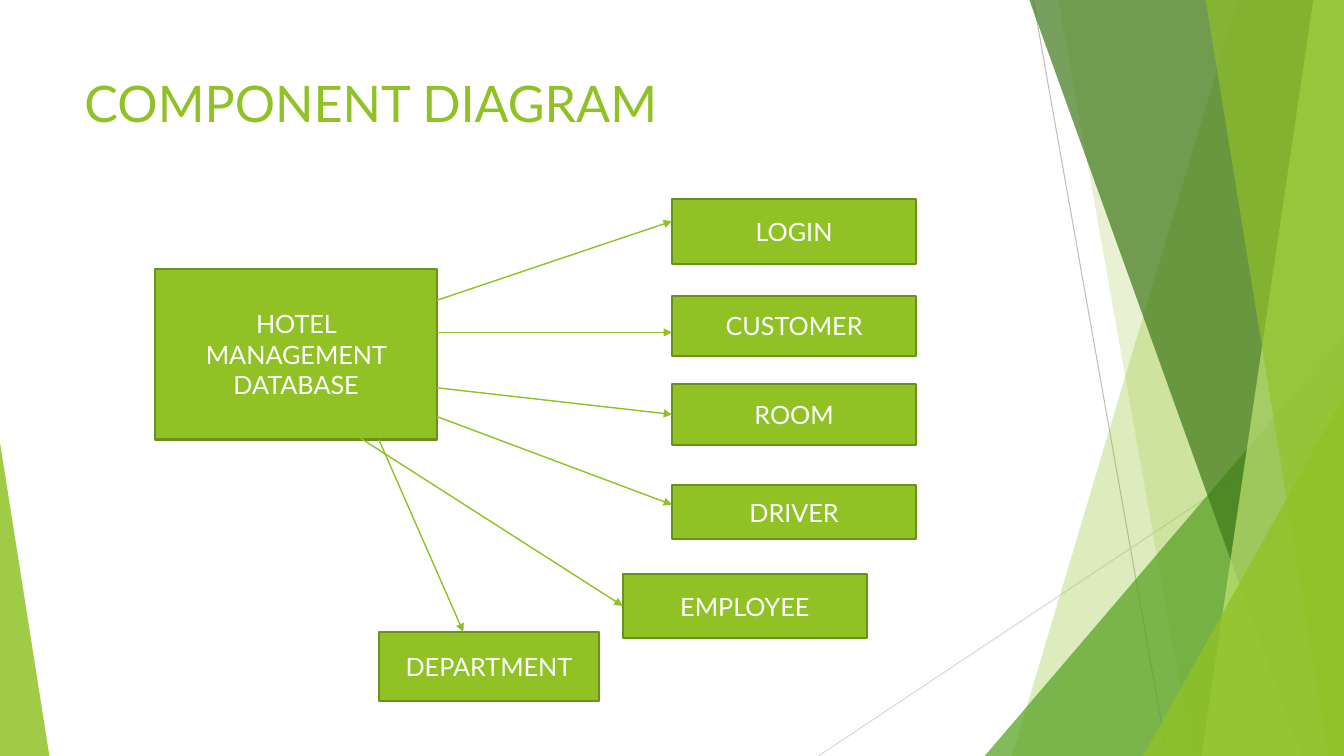
from lxml.etree import SubElement
from pptx import Presentation
from pptx.dml.color import RGBColor
from pptx.enum.shapes import MSO_CONNECTOR, MSO_SHAPE
from pptx.enum.text import MSO_ANCHOR, PP_ALIGN
from pptx.oxml.ns import qn
from pptx.util import Pt

STRAIGHT = MSO_CONNECTOR.STRAIGHT
RECT, TRIANGLE = MSO_SHAPE.RECTANGLE, MSO_SHAPE.ISOSCELES_TRIANGLE
MIDDLE, TOP = MSO_ANCHOR.MIDDLE, MSO_ANCHOR.TOP
CENTER, LEFT = PP_ALIGN.CENTER, PP_ALIGN.LEFT

LIME = RGBColor(0x90, 0xC2, 0x26)
PALE_LIME = RGBColor(0xC0, 0xE4, 0x74)
GREEN = RGBColor(0x54, 0xA0, 0x21)
DARK_GREEN = RGBColor(0x3F, 0x78, 0x19)
OLIVE = RGBColor(0x6B, 0x90, 0x1C)
GREY = RGBColor(0xBF, 0xBF, 0xBF)
LIGHT_GREY = RGBColor(0xD9, 0xD9, 0xD9)
WHITE = RGBColor(0xFF, 0xFF, 0xFF)

W, H = 960, 540
LEFT_SIDE = 1


class Deck:
    font = "Lato"

    def __init__(self, prs):
        self.s = prs.slides.add_slide(prs.slide_layouts[6])

    def tint(self, sp, color, alpha):
        """Fill a borderless shape; alpha is the opacity in percent."""
        sp.shadow.inherit = False
        sp.line.fill.background()
        sp.fill.solid()
        sp.fill.fore_color.rgb = color
        clr = sp._element.spPr.find(qn("a:solidFill"))[0]
        SubElement(clr, qn("a:alpha"), val=str(alpha * 1000))

    def facet(self, top_x, bottom_x, color, alpha):
        """Band from a slanted left edge to the right edge of the slide."""
        fb = self.s.shapes.build_freeform(Pt(top_x), Pt(-0.6))
        fb.add_line_segments([(Pt(W), Pt(-0.6)), (Pt(W), Pt(H)), (Pt(bottom_x), Pt(H))])
        self.tint(fb.convert_to_shape(), color, alpha)

    def triangle(self, x, y, w, apex, color, alpha):
        """Triangle standing on the bottom edge of the slide."""
        sp = self.s.shapes.add_shape(TRIANGLE, Pt(x), Pt(y), Pt(w), Pt(H - y))
        sp.adjustments[0] = apex
        self.tint(sp, color, alpha)

    def text(self, sp, text, size, color, align, anchor):
        tf = sp.text_frame
        tf.word_wrap = True
        tf.vertical_anchor = anchor
        p = tf.paragraphs[0]
        p.text = text
        p.alignment = align
        p.font.name = self.font
        p.font.size = Pt(size)
        p.font.color.rgb = color

    def title(self, x, y, w, h, text):
        sp = self.s.shapes.add_textbox(Pt(x), Pt(y), Pt(w), Pt(h))
        self.text(sp, text, 36, LIME, LEFT, TOP)

    def box(self, x, y, w, h, text):
        sp = self.s.shapes.add_shape(RECT, Pt(x), Pt(y), Pt(w), Pt(h))
        sp.shadow.inherit = False
        sp.fill.solid()
        sp.fill.fore_color.rgb = LIME
        sp.line.color.rgb = OLIVE
        sp.line.width = Pt(1.5)
        self.text(sp, text, 18, WHITE, CENTER, MIDDLE)
        return sp

    def line(self, x1, y1, x2, y2, color, width):
        c = self.s.shapes.add_connector(STRAIGHT, Pt(x1), Pt(y1), Pt(x2), Pt(y2))
        c.line.color.rgb = color
        c.line.width = Pt(width)
        SubElement(c._element.spPr, qn("a:effectLst"))
        return c

    def arrow(self, x1, y1, x2, y2, target=None):
        c = self.line(x1, y1, x2, y2, LIME, 1)
        SubElement(c._element.spPr.find(qn("a:ln")), qn("a:tailEnd"), type="triangle")
        if target is not None:
            c.end_connect(target, LEFT_SIDE)


def main():
    prs = Presentation()
    prs.slide_width, prs.slide_height = Pt(W), Pt(H)
    d = Deck(prs)

    # Background decoration
    d.line(738, 0, 833.8, H, GREY, 0.75)
    d.line(W, 290.2, 584.6, H, LIGHT_GREY, 0.75)
    d.facet(884.2, 722.9, LIME, 30)
    d.facet(756, 851.8, LIME, 20)
    d.triangle(703.4, 239.8, 256.6, 1, GREEN, 72)
    d.facet(735.1, 929.5, DARK_GREEN, 70)
    d.facet(938.2, 858.2, PALE_LIME, 70)
    d.facet(861.1, 949, LIME, 65)
    d.triangle(816.5, 283, 143.5, 1, LIME, 80)
    d.triangle(0, 316.1, 35.3, 0, LIME, 85)

    # Title
    d.title(53.3, 48.2, 676.8, 103.7, "COMPONENT DIAGRAM")

    # Components
    d.box(111, 192, 201, 122, "HOTEL MANAGEMENT DATABASE")
    col_x, col_w = 480, 174.5
    d.box(col_x, 142, col_w, 46.5, "LOGIN")
    d.box(col_x, 211.2, col_w, 43.2, "CUSTOMER")
    room = d.box(col_x, 274.4, col_w, 43.2, "ROOM")
    d.box(col_x, 346.4, col_w, 38.7, "DRIVER")
    employee = d.box(444.8, 410, col_w, 45.6, "EMPLOYEE")
    d.box(270.6, 451.4, 157.4, 49.2, "DEPARTMENT")

    # Arrows from the database to each component
    hub_right = 312
    d.arrow(hub_right, 214.5, col_x, 158)
    d.arrow(hub_right, 237.5, col_x, 237.5)
    d.arrow(hub_right, 277, col_x, 296, room)
    d.arrow(hub_right, 297.5, col_x, 360.5)
    d.arrow(235.4, 298.8, 444.8, 432.8, employee)
    d.arrow(270.6, 314, 331, 451.4)

    prs.save("out.pptx")


if __name__ == "__main__":
    main()
